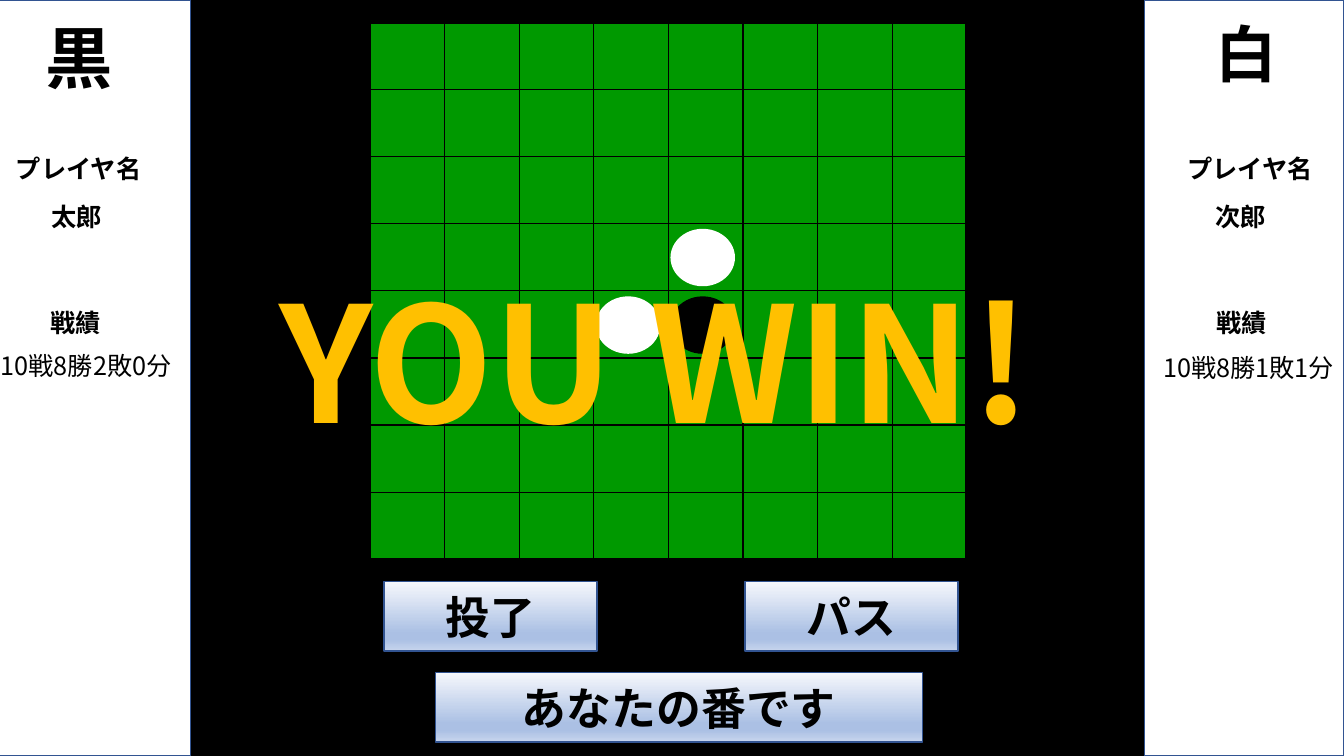
from pptx import Presentation
from pptx.dml.color import RGBColor
from pptx.enum.shapes import MSO_SHAPE
from pptx.enum.text import MSO_ANCHOR, PP_ALIGN
from pptx.oxml import parse_xml
from pptx.oxml.ns import nsdecls, qn
from pptx.util import Inches, Pt

RECT, OVAL = MSO_SHAPE.RECTANGLE, MSO_SHAPE.OVAL
MIDDLE, TOP = MSO_ANCHOR.MIDDLE, MSO_ANCHOR.TOP
CENTER, LEFT = PP_ALIGN.CENTER, PP_ALIGN.LEFT

THEME = {
    "font": "Noto Sans CJK JP",
    "black": "000000", "white": "FFFFFF", "board": "009900",
    "outline": "325491", "win": "FFC000",
    "button": [(0, "F6F8FC"), (74, "ABC0E4"), (83, "ABC0E4"), (100, "C7D5ED")],
    "body": 18, "button_size": 32, "win_size": 115,
}


def add_text(sp, text, size=THEME["body"], color=THEME["black"], bold=True,
             align=LEFT, anchor=TOP):
    tf = sp.text_frame
    tf.word_wrap = True
    tf.vertical_anchor = anchor
    p = tf.paragraphs[0]
    p.alignment = align
    r = p.add_run()
    r.text = text
    r.font.size, r.font.bold, r.font.name = Pt(size), bold, THEME["font"]
    r.font.color.rgb = RGBColor.from_string(color)
    r.font._element.append(parse_xml(
        f'<a:ea {nsdecls("a")} typeface="{THEME["font"]}"/>'))


def add_figure(kind, x, y, w, h, fill=None, line=None):
    sp = s.shapes.add_shape(kind, Inches(x), Inches(y), Inches(w), Inches(h))
    sp.shadow.inherit = False
    if fill:
        sp.fill.solid()
        sp.fill.fore_color.rgb = RGBColor.from_string(fill)
    if line:
        sp.line.color.rgb = RGBColor.from_string(line)
        sp.line.width = Pt(1)
    else:
        sp.line.fill.background()
    return sp


prs = Presentation()
prs.slide_width, prs.slide_height = Inches(13.33), Inches(7.5)
s = prs.slides.add_slide(prs.slide_layouts[6])
s.background.fill.solid()
s.background.fill.fore_color.rgb = RGBColor.from_string(THEME["black"])

# Board: thick outer border, thin inner lines
N, BOARD_X, BOARD_Y, CELL_W, CELL_H = 8, 3.67, 0.22, 0.74, 0.67
table = s.shapes.add_table(N, N, Inches(BOARD_X), Inches(BOARD_Y),
                           Inches(5.92), Inches(5.33)).table
table.first_row = table.horz_banding = False
for i in range(N):
    table.columns[i].width = Inches(5.92 / N)
    table.rows[i].height = Inches(5.33 / N)
for row in range(N):
    for col in range(N):
        cell = table.cell(row, col)
        tcPr = cell._tc.get_or_add_tcPr()
        edges = {"L": col == 0, "R": col == N - 1, "T": row == 0, "B": row == N - 1}
        for side, outer in edges.items():
            tcPr.append(parse_xml(
                f'<a:ln{side} {nsdecls("a")} w="{Pt(2.25 if outer else 1)}">'
                f'<a:solidFill><a:srgbClr val="{THEME["black"]}"/></a:solidFill>'
                f'</a:ln{side}>'))
        cell.fill.solid()
        cell.fill.fore_color.rgb = RGBColor.from_string(THEME["board"])

# Discs, by board row and column
for row, col, color in [(4, 4, "black"), (4, 3, "white"), (3, 4, "white")]:
    add_figure(OVAL, BOARD_X + col * CELL_W + 0.02, BOARD_Y + row * CELL_H + 0.04,
               0.64, 0.57, THEME[color])

# Buttons and turn message
for text, x, y, w in [("投了", 3.81, 5.77, 2.11), ("パス", 7.39, 5.77, 2.11),
                      ("あなたの番です", 4.32, 6.67, 4.83)]:
    sp = add_figure(RECT, x, y, w, 0.69, line=THEME["outline"])
    sp.fill.gradient()
    sp.fill.gradient_angle = 270
    stops = sp._element.spPr.find(".//" + qn("a:gsLst"))
    for stop in list(stops):
        stops.remove(stop)
    for pos, color in THEME["button"]:
        stops.append(parse_xml(f'<a:gs {nsdecls("a")} pos="{pos * 1000}">'
                               f'<a:srgbClr val="{color}"/></a:gs>'))
    add_text(sp, text, size=THEME["button_size"], align=CENTER, anchor=MIDDLE)

# Player panels
for x, w in [(-0.15, 2.04), (11.35, 1.98)]:
    add_figure(RECT, x, 0, w, 7.5, THEME["white"], THEME["outline"])

# Player details and result
labels = [
    ("黒", 0.35, 0.11, 0.6, 0.91, {"size": 48}),
    ("白", 11.96, 0.11, 1.47, 0.84, {"size": 44}),
    ("太郎", 0.41, 1.95, 0.94, 0.4, {}),
    ("次郎", 11.96, 1.95, 0.94, 0.4, {}),
    ("10戦8勝2敗0分", -0.09, 3.43, 1.94, 0.4, {"bold": False}),
    ("10戦8勝1敗1分", 11.44, 3.45, 1.94, 0.4, {"bold": False}),
]
for name_x, record_x in [(0.06, 0.4), (11.68, 11.97)]:
    labels += [("プレイヤ名", name_x, 1.47, 1.52, 0.4, {}),
               ("戦績", record_x, 3, 0.96, 0.4, {})]
labels.append(("YOU WIN!", 2.67, 2.56, 8.03, 2.04,
               {"size": THEME["win_size"], "color": THEME["win"]}))
for text, x, y, w, h, style in labels:
    sp = s.shapes.add_textbox(Inches(x), Inches(y), Inches(w), Inches(h))
    add_text(sp, text, **style)

prs.save("out.pptx")
